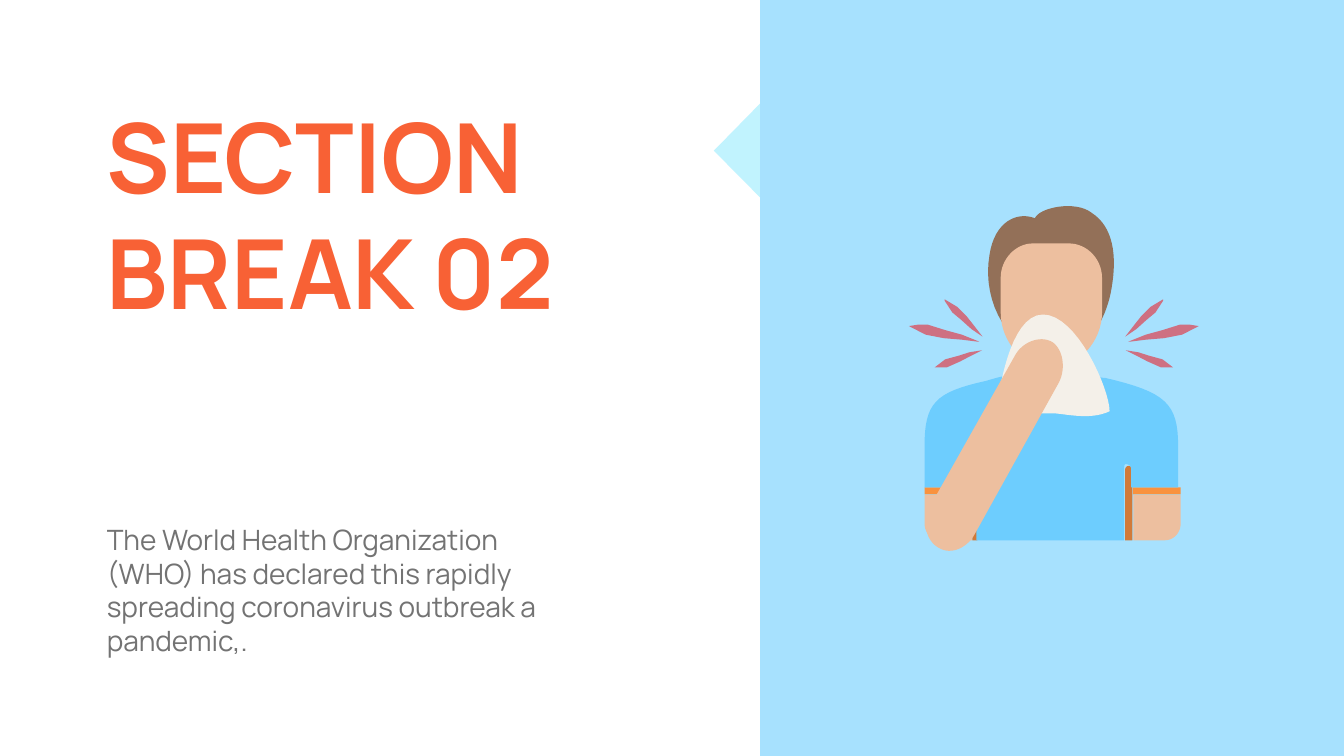
from pptx import Presentation
from pptx import util as u
from pptx.dml.color import RGBColor
from pptx.enum import shapes, text

ORANGE, GREY, SKY, PALE = "F86135", "737373", "A7E1FE", "C1F3FE"
SKIN, HAIR, SHIRT, TISSUE = "EDBF9F", "937058", "6DCDFE", "F4F0E9"
TRIM, SEAM, COUGH = "F9923E", "D17A39", "CE7082"
COUGH_AXIS, ARM_AXIS = 41.81, 41.76

HEAD_TOP = [(20.49, 4.83), (20.14, 4.83, 19.85, 5.15, 19.85, 5.51), (19.85, 6.2),
            (19.85, 6.78, 20.29, 7.29, 20.86, 7.29), (21.39, 7.29, 21.86, 6.78, 21.86, 6.2),
            (21.86, 5.51), (21.86, 5.15, 21.57, 4.83, 21.2, 4.83)]
HAIR_SHAPE = [(21, 6.98), (20.72, 6.98), (20.1, 6.98, 19.45, 6.05, 19.63, 5.05),
              (19.73, 4.4, 20.17, 4.19, 20.53, 4.33), (20.61, 4.12, 21.33, 3.97, 21.65, 4.22),
              (22.09, 4.5, 22.16, 5.08, 22.05, 5.72), (21.97, 6.22, 21.65, 6.98, 21, 6.98)]
NECK = [(21.96, 8.04), (21.24, 8.01, 21.49, 6.64, 21.49, 6.64), (20.22, 6.64),
        (20.22, 6.64, 20.47, 8.01, 19.75, 8.04), (19.86, 8.21, 20.33, 8.4, 20.83, 8.4),
        (21.39, 8.36, 21.85, 8.21, 21.96, 8.04)]
COLLAR = [(20.88, 8.04), (21.37, 8.04, 21.55, 7.71, 21.65, 7.48),
          (21.55, 7.45, 21.44, 7.45, 21.44, 7.45), (21.44, 7.45, 21.3, 7.86, 20.84, 7.86),
          (20.3, 7.82, 20.22, 7.45, 20.22, 7.45), (20.22, 7.45, 20.12, 7.45, 20.05, 7.48),
          (20.09, 7.67, 20.3, 8.04, 20.88, 8.04)]
TORSO = [(19.26, 9.32), (19.26, 9.25, 19.26, 9.21, 19.34, 9.21),
         (19.37, 9.21, 19.37, 9.25, 19.37, 9.32), (19.37, 10.72), (22.3, 10.72), (22.3, 9.32),
         (22.3, 9.25, 22.3, 9.21, 22.33, 9.21), (22.4, 9.21, 22.44, 9.25, 22.44, 9.32),
         (22.44, 9.67), (23.37, 9.67), (23.37, 8.85), (23.37, 8, 23.12, 7.78, 21.93, 7.5),
         (21.83, 7.5, 21.72, 7.45, 21.65, 7.45), (21.55, 7.67, 21.37, 8, 20.88, 8),
         (20.31, 8, 20.09, 7.63, 20.06, 7.45), (19.91, 7.45, 19.76, 7.5, 19.55, 7.56),
         (18.55, 7.78, 18.34, 8, 18.34, 8.85), (18.34, 9.67), (19.26, 9.67)]
FOREARM = [(19.28, 9.82), (18.34, 9.82), (18.34, 10.39),
           (18.34, 10.57, 18.48, 10.72, 18.65, 10.72), (19.28, 10.72)]
TISSUE_SHAPE = [(19.8, 7.94), (19.8, 7.94, 20, 6.24, 20.69, 6.24),
                (21.36, 6.24, 22.01, 7.72, 22.01, 8.16), (21.61, 8.35, 21.11, 8.2, 20.87, 8.2),
                (20.15, 8.2)]
RAISED_ARM = [(20.88, 6.79), (20.63, 6.64, 20.26, 6.79, 20.12, 7.08), (18.43, 10.08),
              (18.29, 10.37, 18.37, 10.73, 18.62, 10.87),
              (18.87, 11.02, 19.19, 10.87, 19.34, 10.59), (21.01, 7.58),
              (21.15, 7.29, 21.08, 6.93, 20.88, 6.79)]
COUGH_LINES = [
    [(18.22, 6.44), (18.03, 6.47), (18.36, 6.64), (18.72, 6.71), (19.08, 6.74), (19.4, 6.78),
     (19.43, 6.78), (19.08, 6.64), (18.75, 6.55), (18.4, 6.44)],
    [(18.74, 5.94), (18.74, 5.97), (18.89, 6.2), (19.07, 6.35), (19.27, 6.53), (19.49, 6.68),
     (19.32, 6.46), (19.17, 6.27), (18.99, 6.09)],
    [(19.48, 6.95), (19.23, 6.99), (19.01, 7.06), (18.75, 7.13), (18.54, 7.29), (18.78, 7.29),
     (19.05, 7.17), (19.26, 7.06)],
]


def color(code):
    return RGBColor.from_string(code)


def flatten(path, steps=16):
    points = [path[0]]
    for segment in path[1:]:
        if len(segment) == 2:
            points.append(segment)
            continue
        p0, p1, p2, p3 = points[-1], segment[:2], segment[2:4], segment[4:]
        for t in (i / steps for i in range(1, steps + 1)):
            s = 1 - t
            points.append(tuple(s**3 * a + 3 * s * s * t * b + 3 * s * t * t * c + t**3 * d
                                for a, b, c, d in zip(p0, p1, p2, p3)))
    return points


def mirror(path, axis):
    return [tuple(axis - v if i % 2 == 0 else v for i, v in enumerate(segment))
            for segment in path]


class SlideBuilder:
    """Draws flat shapes and styled text on one slide."""

    font = "Manrope"

    def __init__(self, slide):
        self.slide = slide

    def paint(self, shape, fill):
        shape.shadow.inherit = False
        shape.fill.solid()
        shape.fill.fore_color.rgb = color(fill)
        shape.line.fill.background()

    def rect(self, left, top, width, height, fill):
        box = map(u.Inches, (left, top, width, height))
        self.paint(self.slide.shapes.add_shape(shapes.MSO_SHAPE.RECTANGLE, *box), fill)

    def outline(self, path, fill):
        points = [(u.Inches(x), u.Inches(y)) for x, y in flatten(path)]
        builder = self.slide.shapes.build_freeform(*points[0])
        builder.add_line_segments(points[1:], close=True)
        self.paint(builder.convert_to_shape(), fill)

    def label(self, words, left, top, width, height, size, fill, bold=False):
        box = map(u.Inches, (left, top, width, height))
        frame = self.slide.shapes.add_textbox(*box).text_frame
        frame.word_wrap = True
        frame.auto_size = text.MSO_AUTO_SIZE.SHAPE_TO_FIT_TEXT
        paragraph = frame.paragraphs[0]
        paragraph.text = words
        font = paragraph.font
        font.name, font.size, font.bold = self.font, u.Pt(size), bold
        font.color.rgb = color(fill)


def main():
    deck = Presentation()
    deck.slide_width, deck.slide_height = u.Inches(26.66), u.Inches(15)
    page = SlideBuilder(deck.slides.add_slide(deck.slide_layouts[6]))

    page.rect(0, 0, 26.66, 15, "FFFFFF")
    page.outline([(15.14, 3.98), (14.16, 2.99), (15.16, 1.97)], PALE)
    page.label("The World Health Organization (WHO) has declared this rapidly spreading "
               "coronavirus outbreak a pandemic,.", 2.02, 10.32, 9.04, 2.79, 40, GREY)
    page.rect(15.08, 0, 11.58, 15, SKY)
    page.label("SECTION BREAK 02", 2.02, 1.88, 9.56, 4.75, 138, ORANGE, bold=True)

    for left, right in ((19.29, 19.39), (22.32, 22.46)):
        page.outline([(left, 10.72), (left, 9.32), (left, 9.22, right, 9.22, right, 9.32),
                      (right, 10.72)], SEAM)
    page.outline(HAIR_SHAPE, HAIR)
    page.outline(HEAD_TOP, SKIN)
    page.outline(NECK, SKIN)
    page.outline(COLLAR, TRIM)
    for left in (18.34, 22.47):
        page.rect(left, 9.67, 0.95, 0.14, TRIM)
    page.outline(mirror(FOREARM, ARM_AXIS), SKIN)
    page.outline(TORSO, SHIRT)
    page.outline(FOREARM, SKIN)
    page.outline(TISSUE_SHAPE, TISSUE)
    page.outline(RAISED_ARM, SKIN)
    for streak in COUGH_LINES:
        page.outline(streak, COUGH)
        page.outline(mirror(streak, COUGH_AXIS), COUGH)

    deck.save("out.pptx")


if __name__ == "__main__":
    main()
